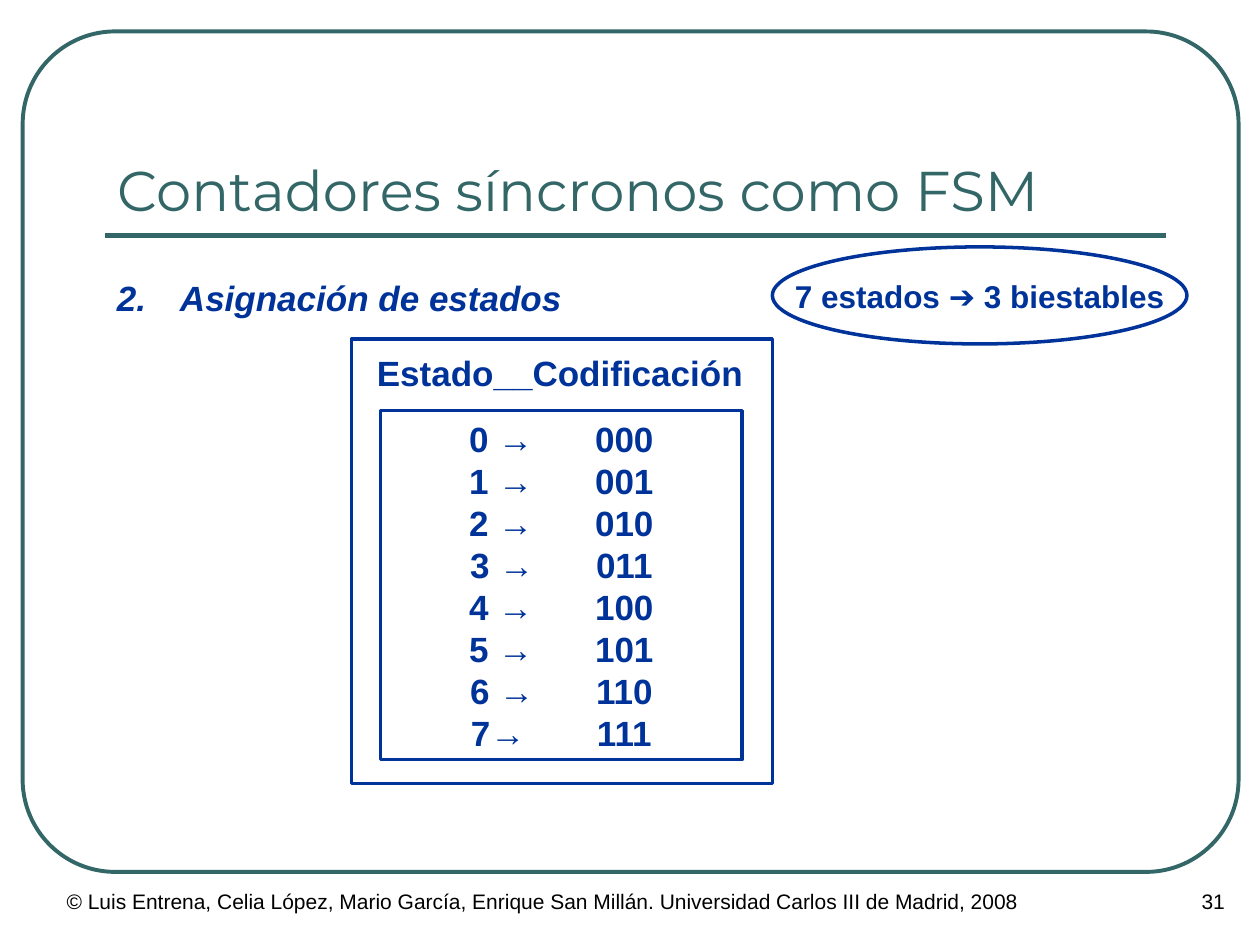
from lxml.etree import SubElement
from pptx import Presentation
from pptx.dml.color import RGBColor
from pptx.enum.shapes import MSO_CONNECTOR, MSO_SHAPE
from pptx.enum.text import MSO_ANCHOR, PP_ALIGN
from pptx.oxml.ns import qn
from pptx.util import Inches, Pt

COLS, ROWS = 100, 75
HUES = {"green": "336666", "blue": "003399", "black": "000000", "white": "FFFFFF"}


def tint(name):
    return RGBColor.from_string(HUES[name])


def write(frame, text, size=20, hue="blue", bold=None, slant=None, font="Arial",
          align=PP_ALIGN.LEFT, anchor=MSO_ANCHOR.TOP, wrap=True,
          inset=(0.1, 0.05), start=None, space=None, tab=0):
    frame.word_wrap = wrap
    frame.vertical_anchor = anchor
    frame.margin_left = frame.margin_right = Inches(inset[0])
    frame.margin_top = frame.margin_bottom = Inches(inset[1])
    for at, line in enumerate(text.split("\n")):
        para = frame.paragraphs[0] if at == 0 else frame.add_paragraph()
        para.alignment = align
        para.line_spacing = space
        props = para._p.get_or_add_pPr()
        if start:
            props.set("marL", str(Inches(0.5)))
            props.set("indent", str(Inches(-0.5)))
            paint = SubElement(props, qn("a:buClr"))
            SubElement(paint, qn("a:srgbClr"), val=HUES[hue])
            SubElement(props, qn("a:buFont"), typeface=font)
            SubElement(props, qn("a:buAutoNum"), type="arabicPeriod", startAt=str(start))
        stops = SubElement(props, qn("a:tabLst"))
        for stop in range(tab, tab + 8):
            SubElement(stops, qn("a:tab"), pos=str(Inches(stop)), algn="l")
        run = para.add_run()
        run.text = line
        run.font.name = font
        run.font.size = Pt(size)
        run.font.bold = bold
        run.font.italic = slant
        run.font.color.rgb = tint(hue)


class Deck:
    def __init__(self):
        self.show = Presentation()
        self.show.slide_width, self.show.slide_height = Inches(10), Inches(7.5)
        self.slide = self.show.slides.add_slide(self.show.slide_layouts[5])
        self.slide.background.fill.solid()
        self.slide.background.fill.fore_color.rgb = tint("white")

    def place(self, x, y, w, h):
        wide = self.show.slide_width / COLS
        high = self.show.slide_height / ROWS
        return int(x * wide), int(y * high), int(w * wide), int(h * high)

    def title(self, spot, text):
        head = self.slide.shapes.title
        head.left, head.top, head.width, head.height = self.place(*spot)
        write(head.text_frame, text, size=32, hue="green", font="Montserrat",
              anchor=MSO_ANCHOR.BOTTOM)

    def text(self, spot, text, **style):
        box = self.slide.shapes.add_textbox(*self.place(*spot))
        write(box.text_frame, text, **style)

    def shape(self, kind, spot, text=None, fill="white", line="blue", width=2, **style):
        item = self.slide.shapes.add_shape(kind, *self.place(*spot))
        item.shadow.inherit = False
        if fill:
            item.fill.solid()
            item.fill.fore_color.rgb = tint(fill)
        else:
            item.fill.background()
        if line:
            item.line.color.rgb = tint(line)
            item.line.width = Pt(width)
        else:
            item.line.fill.background()
        if text:
            write(item.text_frame, text, bold=True, align=PP_ALIGN.CENTER,
                  anchor=MSO_ANCHOR.MIDDLE, wrap=False, **style)
        return item

    def rule(self, x, y, w, hue, width):
        left, top, span, _ = self.place(x, y, w, 0)
        line = self.slide.shapes.add_connector(
            MSO_CONNECTOR.STRAIGHT, left, top, left + span, top)
        line.line.color.rgb = tint(hue)
        line.line.width = Pt(width)
        SubElement(line._element.spPr, qn("a:effectLst"))


def main():
    deck = Deck()
    frame = deck.shape(MSO_SHAPE.ROUNDED_RECTANGLE, (1.8, 2.5, 96.5, 66.7),
                       fill=None, line="green", width=2.25)
    frame.adjustments[0] = 0.11
    deck.rule(8.3, 18.7, 84.2, "green", 3)
    deck.text((4.3, 70, 85, 5),
              "© Luis Entrena, Celia López, Mario García, Enrique San Millán. "
              "Universidad Carlos III de Madrid, 2008", size=12, hue="black")
    deck.text((89.2, 70, 9, 5), "31", size=12, hue="black", align=PP_ALIGN.RIGHT)
    deck.title((8.3, 12.6, 84.2, 5.6), "Contadores síncronos como FSM")
    deck.text((8.3, 20.8, 85.8, 6.1), "Asignación de estados", bold=True,
              slant=True, start=2, space=1.2, tab=1)

    deck.shape(MSO_SHAPE.RECTANGLE, (27.9, 26.9, 33.4, 35.3))
    codes = [f"{n} →\t{n:03b}" for n in range(7)] + ["7→\t111"]
    deck.shape(MSO_SHAPE.RECTANGLE, (30.2, 32.6, 28.7, 27.7), "\n".join(codes))
    deck.shape(MSO_SHAPE.RECTANGLE, (34.8, 27.3, 19.3, 4.6),
               "Estado__Codificación", line=None)
    deck.shape(MSO_SHAPE.OVAL, (61.3, 19.6, 32.9, 7.7),
               "7 estados ➔ 3 biestables", size=18, inset=(0.04, 0.04))
    deck.show.save("out.pptx")


if __name__ == "__main__":
    main()
